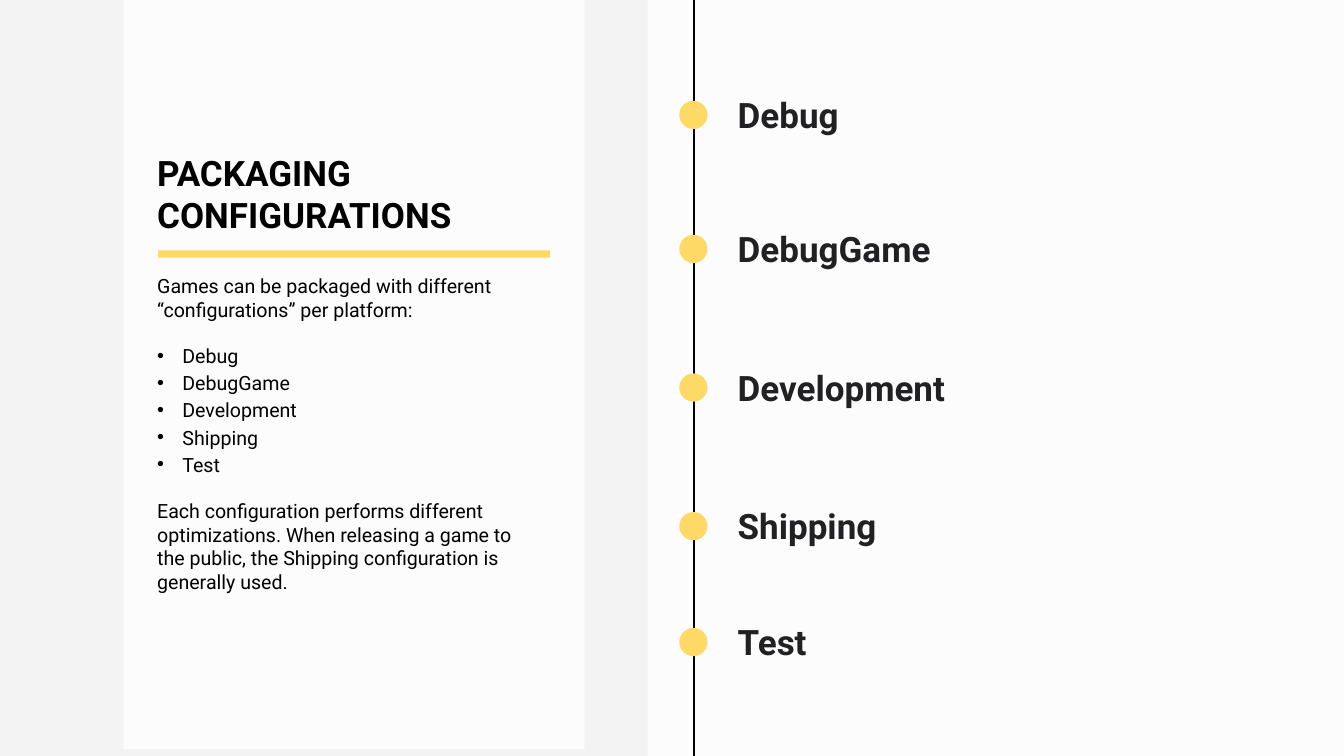
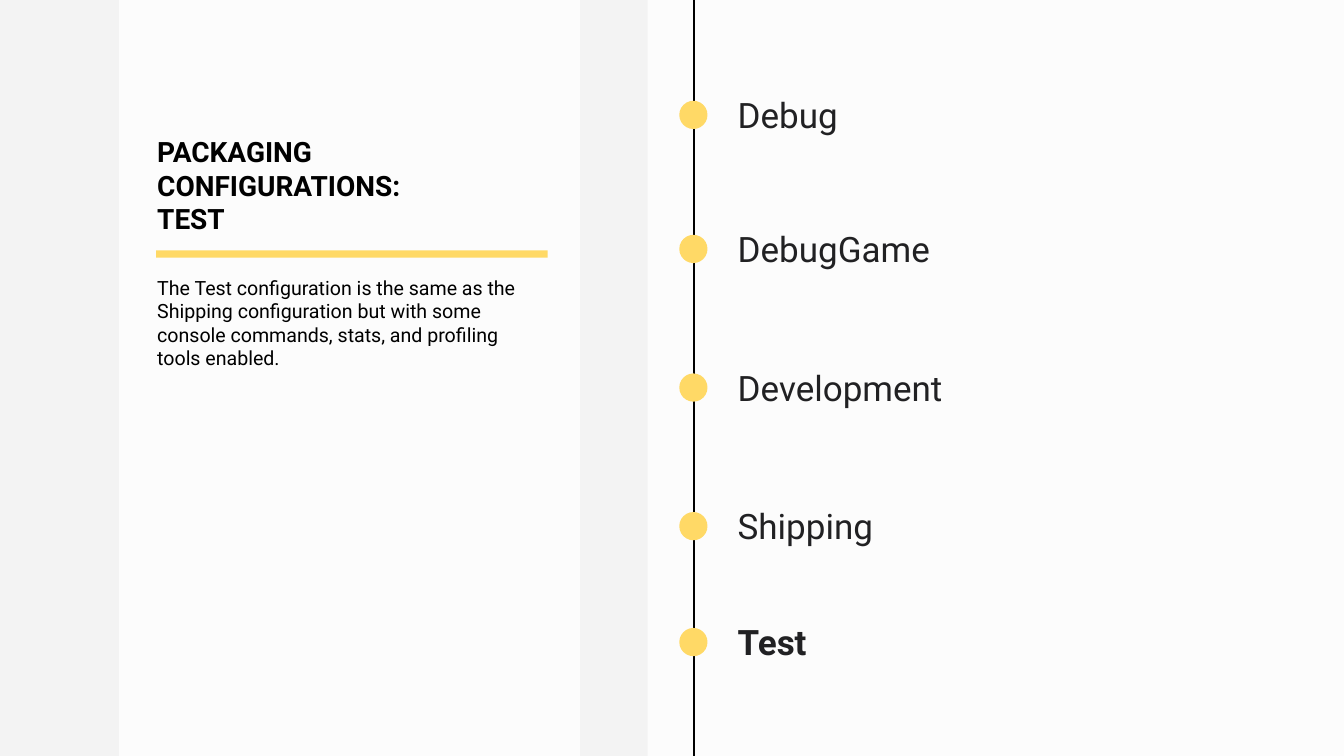
from dataclasses import dataclass

from lxml import etree
from pptx import Presentation
from pptx.dml.color import RGBColor
from pptx.enum.shapes import MSO_CONNECTOR, MSO_SHAPE
from pptx.enum.text import MSO_ANCHOR, MSO_AUTO_SIZE, PP_ALIGN
from pptx.oxml.ns import qn
from pptx.util import Inches, Pt

RECT, OVAL = MSO_SHAPE.RECTANGLE, MSO_SHAPE.OVAL
STRAIGHT = MSO_CONNECTOR.STRAIGHT
TOP, MIDDLE, BOTTOM = MSO_ANCHOR.TOP, MSO_ANCHOR.MIDDLE, MSO_ANCHOR.BOTTOM
GROW = MSO_AUTO_SIZE.SHAPE_TO_FIT_TEXT
LEFT = PP_ALIGN.LEFT


@dataclass(frozen=True)
class Theme:
    font: str = "Roboto"
    ground: str = "F3F3F3"
    panel: str = "FFFFFF"
    accent: str = "FFD966"
    ink: str = "000000"
    label: str = "212123"
    large: int = 50
    medium: int = 40
    small: int = 28
    gap: int = 33
    after: int = 5


@dataclass
class Para:
    text: str
    bullet: bool = False
    before: int = 0
    after: int = 0


def apply(target, values):
    for name, value in values.items():
        setattr(target, name, value)


def place(shape, box):
    names = ("left", "top", "width", "height")
    apply(shape, dict(zip(names, map(Inches, box))))


class Deck:
    def __init__(self, theme):
        self.theme = theme
        self.deck = Presentation()
        apply(self.deck, {"slide_width": Inches(26.67), "slide_height": Inches(15)})
        self.slide = None

    def start(self):
        self.slide = self.deck.slides.add_slide(self.deck.slide_layouts[1])
        fill = self.slide.background.fill
        fill.solid()
        fill.fore_color.rgb = RGBColor.from_string(self.theme.ground)

    def shape(self, kind, box, color, alpha=None):
        shape = self.slide.shapes.add_shape(kind, *map(Inches, box))
        shape.shadow.inherit = False
        shape.fill.solid()
        shape.fill.fore_color.rgb = RGBColor.from_string(color)
        if alpha:
            tint = shape.element.spPr.find(".//" + qn("a:srgbClr"))
            etree.SubElement(tint, qn("a:alpha"), val=str(alpha * 1000))
        shape.line.fill.background()

    def line(self, start, end):
        line = self.slide.shapes.add_connector(STRAIGHT, *map(Inches, start + end))
        line.line.color.rgb = RGBColor.from_string(self.theme.ink)
        line.line.width = Pt(2)
        etree.SubElement(line.element.spPr, qn("a:effectLst"))

    def text(self, shape, paras, size, color, anchor, bold=False):
        frame = shape.text_frame
        inset = Inches(0.06)
        apply(frame, {
            "word_wrap": True, "auto_size": GROW, "vertical_anchor": anchor,
            "margin_left": inset, "margin_right": inset,
            "margin_top": inset, "margin_bottom": inset,
        })
        for index, item in enumerate(paras):
            para = frame.add_paragraph() if index else frame.paragraphs[0]
            self.mark(para, item.bullet)
            apply(para, {
                "alignment": LEFT,
                "space_before": Pt(item.before), "space_after": Pt(item.after),
            })
            run = para.add_run()
            run.text = item.text
            apply(run.font, {"name": self.theme.font, "size": Pt(size), "bold": bold})
            run.font.color.rgb = RGBColor.from_string(color)

    def mark(self, para, bullet):
        props = para._p.get_or_add_pPr()
        indent = Inches(0.5) if bullet else 0
        props.set("marL", str(indent))
        props.set("indent", str(-indent))
        if bullet:
            etree.SubElement(props, qn("a:buFont"), typeface="Arial")
            etree.SubElement(props, qn("a:buChar"), char="•")
        else:
            etree.SubElement(props, qn("a:buNone"))

    def raised(self, index, box):
        shape = self.slide.placeholders[index]
        place(shape, box)
        tree = shape.element.getparent()
        tree.append(shape.element)
        return shape

    def title(self, box, lines, size):
        self.text(self.raised(0, box), [Para(line) for line in lines],
                  size, self.theme.ink, BOTTOM, True)

    def body(self, box, paras):
        self.text(self.raised(1, box), paras, self.theme.small, self.theme.ink, TOP)

    def label(self, box, text, bold):
        shape = self.slide.shapes.add_textbox(*map(Inches, box))
        self.text(shape, [Para(text)], self.theme.large, self.theme.label, MIDDLE, bold)

    def panels(self, left, top, rule):
        self.shape(RECT, (12.85, 0, 13.82, 15), self.theme.panel, 80)
        self.shape(RECT, (left, top, 9.15, 15), self.theme.panel, 80)
        self.shape(RECT, (rule, 4.97, 7.77, 0.14), self.theme.accent)

    def track(self, stops, strong):
        self.line((13.77, 15), (13.77, 0))
        for name, top in stops.items():
            self.label((14.58, top, 9.06, 0.95), name, name in strong)
            self.shape(OVAL, (13.48, top + 0.2, 0.56, 0.56), self.theme.accent)


STOPS = {"Debug": 1.8, "DebugGame": 4.46, "Development": 7.21,
         "Shipping": 9.96, "Test": 12.26}


def overview(deck):
    theme = deck.theme
    deck.start()
    deck.panels(2.45, -0.14, 3.14)
    deck.title((3.06, 2.94, 7.75, 1.8), ["PACKAGING CONFIGURATIONS"], theme.large)
    items = [Para(name, True, after=theme.after) for name in STOPS]
    items[0].before = theme.gap
    items[-1].after = 0
    deck.body((3.06, 5.38, 7.75, 6.52), [
        Para("Games can be packaged with different “configurations” per platform:"),
        *items,
        Para("Each configuration performs different optimizations. When releasing "
             "a game to the public, the Shipping configuration is generally used.",
             before=theme.gap),
    ])
    deck.track(STOPS, STOPS)


def test(deck):
    deck.start()
    deck.panels(2.36, 0, 3.1)
    deck.title((3.06, 2.6, 7.92, 2.13), ["PACKAGING CONFIGURATIONS:", "TEST"],
               deck.theme.medium)
    deck.body((3.06, 5.41, 7.75, 2), [
        Para("The Test configuration is the same as the Shipping configuration but "
             "with some console commands, stats, and profiling tools enabled."),
    ])
    deck.track(STOPS, ["Test"])


def main():
    deck = Deck(Theme())
    overview(deck)
    test(deck)
    deck.deck.save("out.pptx")


if __name__ == "__main__":
    main()
